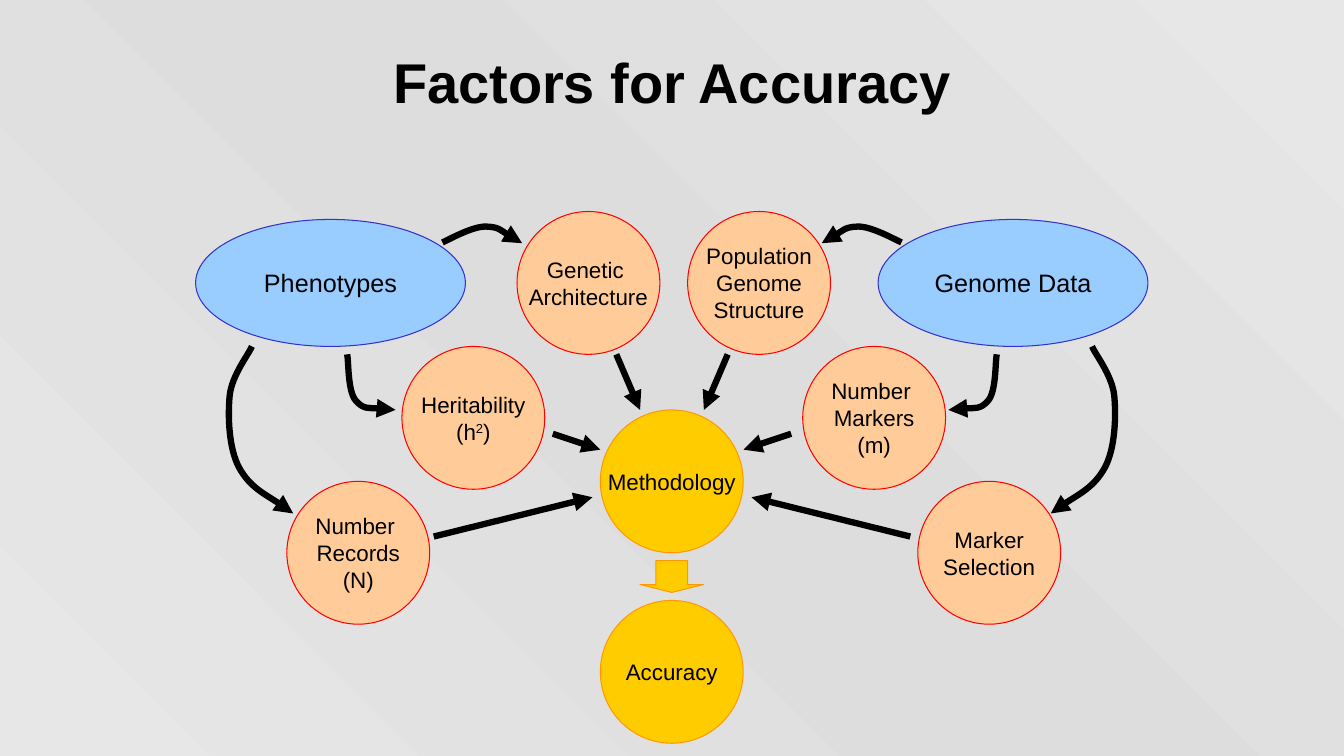
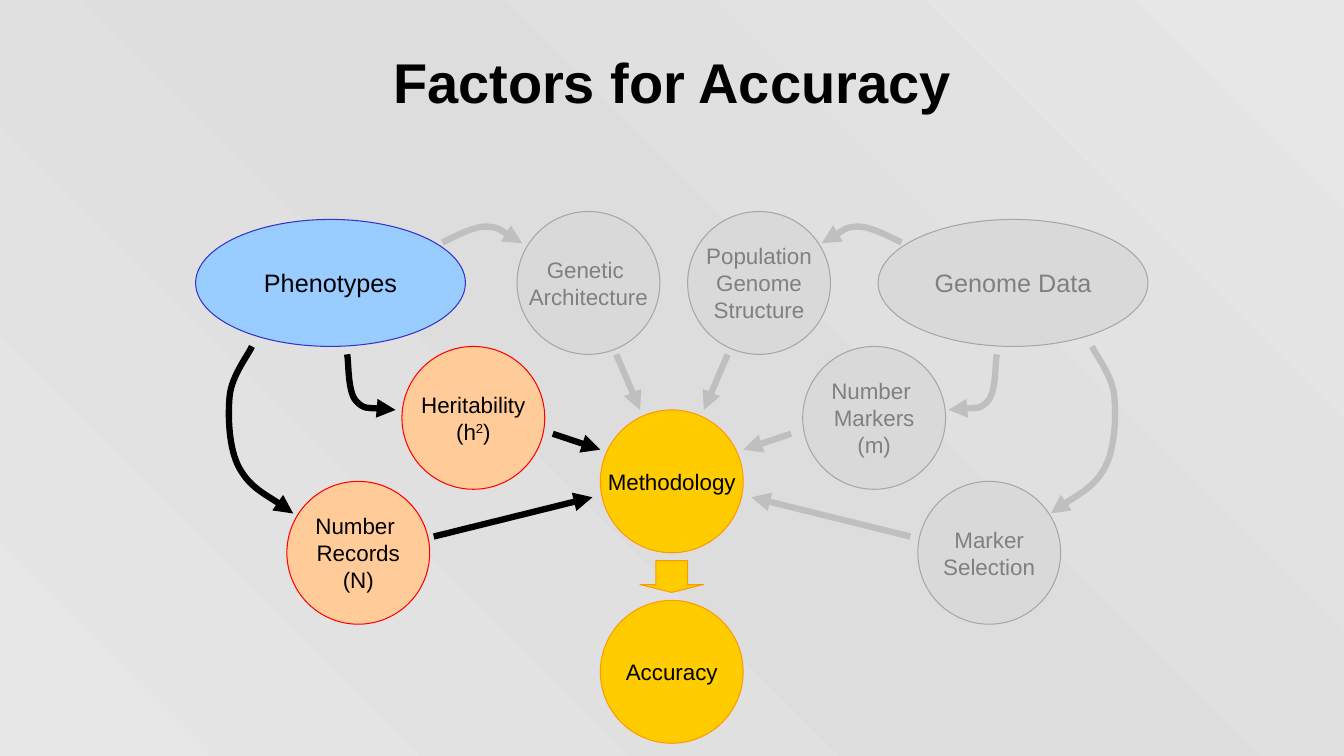
from copy import deepcopy
from dataclasses import dataclass

from lxml import etree
from pptx import Presentation
from pptx.dml.color import RGBColor
from pptx.enum import shapes, text
from pptx.oxml.ns import qn
from pptx.util import Cm, Pt


@dataclass(frozen=True)
class Theme:
    font: str = "Arial"
    ink: str = "000000"
    muted_ink: str = "808080"
    muted_arrow: str = "BFBFBF"
    muted: tuple = ("D9D9D9", "A6A6A6")
    source: tuple = ("99CCFF", "3333CC")
    factor: tuple = ("FFCC99", "FF0000")
    result: tuple = ("FFCC00", "FF9900")
    background: tuple = ((0, "E7E7E7"), (0.5, "DDDDDD"), (1, "E7E7E7"))
    title_size: int = 40
    source_size: int = 18
    factor_size: int = 16
    outline: float = 0.75
    arrow_width: float = 4.5


THEME = Theme()
WIDTH, HEIGHT = 33.87, 19.05
CIRCLE = 3.6
SOURCE_WIDTH, SOURCE_HEIGHT = 6.8, 3.2
SOURCE_TOP = 5.53
ROW_TOP, ROW_STEP = 5.33, 3.4
LEFT_COLUMN, RIGHT_COLUMN, COLUMN_STEP = 13.03, 17.33, 2.9
CENTRE_LEFT = 15.13

SOURCES = (("Phenotypes", 4.93), ("Genome Data", 22.13))
LEFT_FACTORS = (
    ("Genetic ", "Architecture"),
    ("Heritability", "(h^2^)"),
    ("Number ", "Records", "(N)"),
)
RIGHT_FACTORS = (
    ("Population", "Genome", "Structure"),
    ("Number ", "Markers", "(m)"),
    ("Marker", "Selection"),
)
CURVES = (
    ((11.15, 6.11), (11.33, 6.03), (11.91, 5.7), (12.25, 5.71),
     (12.58, 5.72), (12.98, 6.04), (13.16, 6.13)),
    ((8.75, 8.93), (8.79, 9.11), (8.76, 9.87), (8.97, 10.1),
     (9.17, 10.33), (9.75, 10.29), (9.97, 10.33)),
    ((6.35, 8.73), (6.26, 8.94), (5.85, 9.45), (5.79, 9.96),
     (5.74, 10.46), (5.76, 11.3), (6.03, 11.79),
     (6.3, 12.28), (7.11, 12.71), (7.39, 12.94)),
)
LINES = (
    ((15.53, 8.93), (16.13, 10.33)),
    ((13.93, 10.93), (15.13, 11.33)),
    ((10.93, 13.52), (14.93, 12.53)),
)


def rgb(value):
    return RGBColor.from_string(value)


def set_background(presentation):
    master = presentation.slide_master
    fill = master.background.fill
    fill.gradient()
    fill.gradient_angle = 45
    stops = master.element.find(".//" + qn("a:gsLst"))
    stops.append(deepcopy(stops[0]))
    for stop, (position, colour) in zip(fill.gradient_stops, THEME.background):
        stop.position = position
        stop.color.rgb = rgb(colour)


def write_text(frame, lines, size, colour, bold=False):
    frame.vertical_anchor = text.MSO_ANCHOR.MIDDLE
    for index, line in enumerate(lines):
        paragraph = frame.add_paragraph() if index else frame.paragraphs[0]
        paragraph.alignment = text.PP_ALIGN.CENTER
        for part, content in enumerate(line.split("^")):
            run = paragraph.add_run()
            run.text = content
            run.font.name = THEME.font
            run.font.size = Pt(size)
            run.font.bold = bold
            run.font.color.rgb = rgb(colour)
            if part % 2:
                run.font._element.set("baseline", "30000")


def add_title(slide, title):
    box = slide.shapes.add_textbox(Cm(0.66), Cm(0.76), Cm(32.54), Cm(2.57))
    box.text_frame.word_wrap = True
    write_text(box.text_frame, [title], THEME.title_size, THEME.ink, bold=True)


def add_block(slide, kind, left, top, width, height, colours):
    shape = slide.shapes.add_shape(kind, Cm(left), Cm(top), Cm(width), Cm(height))
    shape.shadow.inherit = False
    fill, line = colours
    shape.fill.solid()
    shape.fill.fore_color.rgb = rgb(fill)
    shape.line.color.rgb = rgb(line)
    shape.line.width = Pt(THEME.outline)
    return shape


def add_ellipse(slide, lines, left, top, colours, size=THEME.factor_size,
                width=CIRCLE, height=CIRCLE, muted=False):
    shape = add_block(slide, shapes.MSO_SHAPE.OVAL, left, top, width, height,
                      THEME.muted if muted else colours)
    shape.text_frame.word_wrap = False
    write_text(shape.text_frame, lines, size, THEME.muted_ink if muted else THEME.ink)


def style_arrow(shape, muted):
    shape.line.color.rgb = rgb(THEME.muted_arrow if muted else THEME.ink)
    shape.line.width = Pt(THEME.arrow_width)
    line = shape.element.spPr.find(qn("a:ln"))
    etree.SubElement(line, qn("a:tailEnd"), type="triangle")


def add_line_arrow(slide, points, muted):
    (start_x, start_y), (end_x, end_y) = points
    connector = slide.shapes.add_connector(
        shapes.MSO_CONNECTOR.STRAIGHT, Cm(start_x), Cm(start_y), Cm(end_x), Cm(end_y))
    style_arrow(connector, muted)
    etree.SubElement(connector.element.spPr, qn("a:effectLst"))


def add_curved_arrow(slide, points, muted):
    start, *controls = [(Cm(x), Cm(y)) for x, y in points]
    builder = slide.shapes.build_freeform(*start)
    builder.add_line_segments(controls, close=False)
    shape = builder.convert_to_shape()
    outline = shape.element.find(".//" + qn("a:path"))
    segments = outline.findall(qn("a:lnTo"))
    for first in range(0, len(segments), 3):
        bezier = etree.SubElement(outline, qn("a:cubicBezTo"))
        for segment in segments[first:first + 3]:
            bezier.append(segment[0])
            outline.remove(segment)
    shape.shadow.inherit = False
    shape.fill.background()
    style_arrow(shape, muted)


def mirror(points):
    return [(WIDTH - x, y) for x, y in points]


def add_sources(slide, muted):
    for name, left in SOURCES:
        add_ellipse(slide, [name], left, SOURCE_TOP, THEME.source, THEME.source_size,
                    SOURCE_WIDTH, SOURCE_HEIGHT, muted=name in muted)


def add_factors(slide, muted):
    sides = ((LEFT_FACTORS, LEFT_COLUMN, -COLUMN_STEP, list),
             (RIGHT_FACTORS, RIGHT_COLUMN, COLUMN_STEP, mirror))
    for factors, column, step, place in sides:
        for row, lines in enumerate(factors):
            is_muted = lines in muted
            add_ellipse(slide, lines, column + row * step, ROW_TOP + row * ROW_STEP,
                        THEME.factor, muted=is_muted)
            add_curved_arrow(slide, place(CURVES[row]), is_muted)
            add_line_arrow(slide, place(LINES[row]), is_muted)


def add_results(slide):
    add_ellipse(slide, ["Methodology"], CENTRE_LEFT, 10.33, THEME.result)
    add_block(slide, shapes.MSO_SHAPE.DOWN_ARROW, 16.13, 14.13, 1.6, 0.8, THEME.result
              ).adjustments[1] = 0.25
    add_ellipse(slide, ["Accuracy"], CENTRE_LEFT, 15.13, THEME.result)


def add_diagram_slide(presentation, muted=()):
    slide = presentation.slides.add_slide(presentation.slide_layouts[6])
    add_title(slide, "Factors for Accuracy")
    add_sources(slide, muted)
    add_factors(slide, muted)
    add_results(slide)


def main():
    presentation = Presentation()
    presentation.slide_width = Cm(WIDTH)
    presentation.slide_height = Cm(HEIGHT)
    set_background(presentation)
    add_diagram_slide(presentation)
    add_diagram_slide(presentation, ("Genome Data", LEFT_FACTORS[0], *RIGHT_FACTORS))
    presentation.save("out.pptx")


if __name__ == "__main__":
    main()
